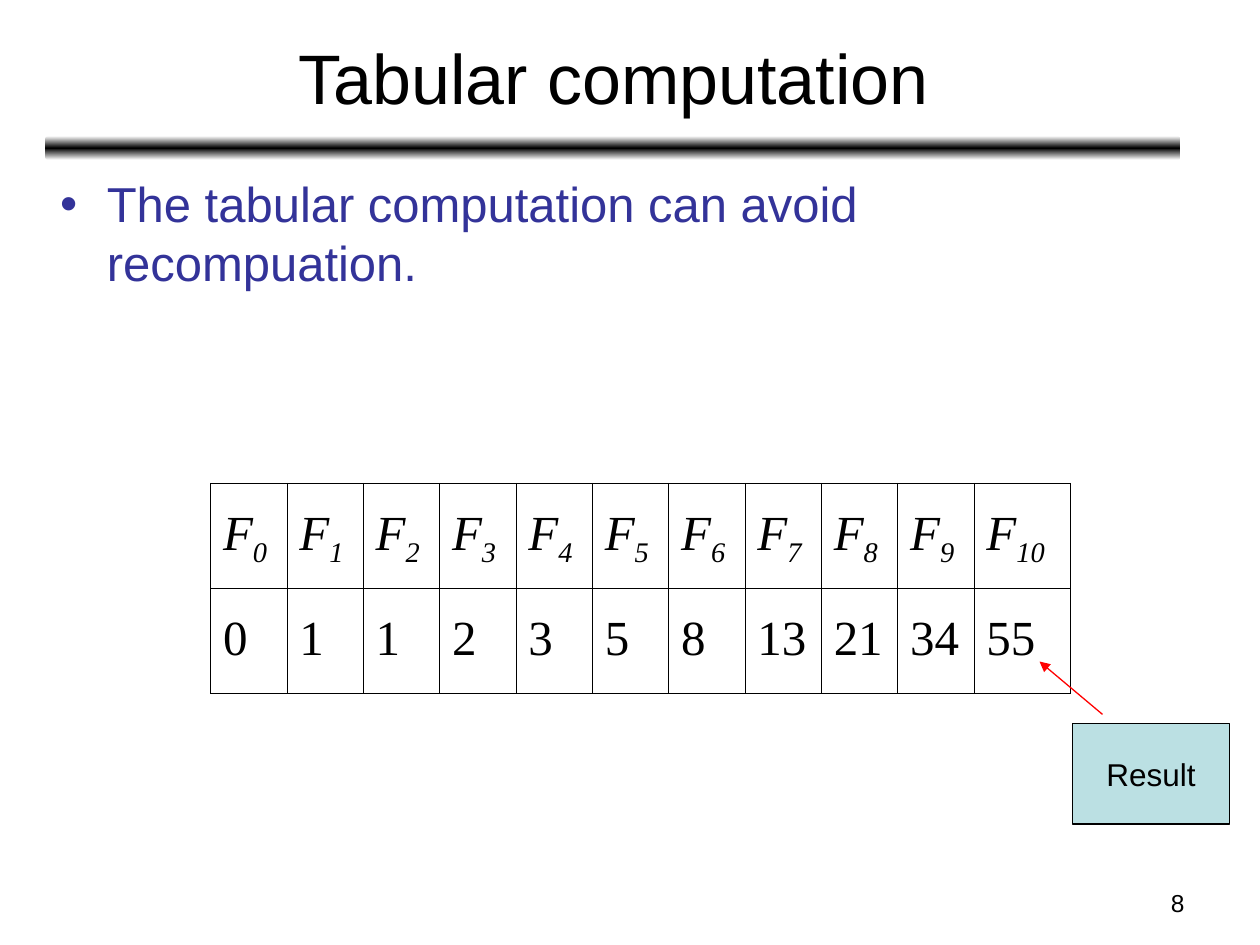
import pptx
import pptx.dml.color
import pptx.enum.dml
import pptx.enum.shapes
import pptx.enum.text
import pptx.oxml
import pptx.oxml.ns
import pptx.util

ALIGN = pptx.enum.text.PP_ALIGN
ANCHOR = pptx.enum.text.MSO_ANCHOR
SHAPE = pptx.enum.shapes.MSO_SHAPE
BLACK = "000000"


def color(value):
    return pptx.dml.color.RGBColor.from_string(value)


def add_xml(parent, tag, content="", **attributes):
    values = "".join(f' {name}="{value}"' for name, value in attributes.items())
    namespace = pptx.oxml.ns.nsdecls("a")
    element = pptx.oxml.parse_xml(f"<a:{tag} {namespace}{values}>{content}</a:{tag}>")
    parent.append(element)
    return element


def solid(value):
    return f'<a:solidFill><a:srgbClr val="{value}"/></a:solidFill>'


class SlideBuilder:
    columns, rows = 100, 75
    heading = {"name": "Arial", "size": pptx.util.Pt(40)}
    bullet_font = {"name": "Arial", "size": pptx.util.Pt(28)}
    label = {"name": "Arial", "size": pptx.util.Pt(18)}
    number = {"name": "Arial", "size": pptx.util.Pt(14)}
    value = {"name": "Times New Roman", "size": pptx.util.Pt(28), "italic": False}
    symbol = {**value, "italic": True}

    def __init__(self, deck):
        self.width = deck.slide_width
        self.height = deck.slide_height
        self.page = deck.slides.add_slide(deck.slide_layouts[6])

    def across(self, count):
        return round(self.width * count / self.columns)

    def down(self, count):
        return round(self.height * count / self.rows)

    def place(self, left, top, width, height):
        return self.across(left), self.down(top), self.across(width), self.down(height)

    def span(self, para, text, style, ink=BLACK, baseline=0):
        span = para.add_run()
        span.text = text
        for name, setting in style.items():
            setattr(span.font, name, setting)
        span.font.color.rgb = color(ink)
        if baseline:
            span.font._element.set("baseline", str(baseline))

    def text(self, area, text, style, align=ALIGN.LEFT, anchor=ANCHOR.TOP, ink=BLACK, bullet=None):
        box = self.page.shapes.add_textbox(*self.place(*area))
        box.text_frame.word_wrap = True
        box.text_frame.vertical_anchor = anchor
        para = box.text_frame.paragraphs[0]
        para.alignment = align
        if bullet:
            properties = para._p.get_or_add_pPr()
            indent = self.across(3.7)
            properties.set("marL", str(indent))
            properties.set("indent", str(-indent))
            add_xml(properties, "buFont", typeface=style["name"])
            add_xml(properties, "buChar", char=bullet)
        self.span(para, text, style, ink)

    def rule(self, area, inks):
        bar = self.page.shapes.add_shape(SHAPE.ROUNDED_RECTANGLE, *self.place(*area))
        bar.shadow.inherit = False
        bar.line.fill.background()
        bar.fill.gradient()
        bar.fill.gradient_angle = 90
        stops = bar._element.spPr.find(".//" + pptx.oxml.ns.qn("a:gsLst"))
        for stop in list(stops):
            stops.remove(stop)
        for index, ink in enumerate(inks):
            position = 100000 * index // (len(inks) - 1)
            add_xml(stops, "gs", f'<a:srgbClr val="{ink}"/>', pos=position)

    def label_box(self, area, text, fill):
        box = self.page.shapes.add_shape(SHAPE.RECTANGLE, *self.place(*area))
        box.shadow.inherit = False
        box.fill.solid()
        box.fill.fore_color.rgb = color(fill)
        box.line.color.rgb = color(BLACK)
        box.line.width = pptx.util.Pt(0.75)
        box.text_frame.word_wrap = False
        box.text_frame.vertical_anchor = ANCHOR.MIDDLE
        para = box.text_frame.paragraphs[0]
        para.alignment = ALIGN.CENTER
        self.span(para, text, self.label)

    def arrow(self, start, end, ink):
        points = [move(count) for point in (start, end)
                  for move, count in zip((self.across, self.down), point)]
        line = self.page.shapes.add_connector(pptx.enum.shapes.MSO_CONNECTOR.STRAIGHT, *points)
        line.line.color.rgb = color(ink)
        line.line.width = pptx.util.Pt(0.75)
        add_xml(line.line._get_or_add_ln(), "tailEnd", type="triangle")
        add_xml(line._element.spPr, "effectLst")

    def borders(self, cell, outer_edges):
        properties = cell._tc.get_or_add_tcPr()
        for tag, is_outer in zip(("lnL", "lnR", "lnT", "lnB"), outer_edges):
            width = pptx.util.Pt(0.5 if is_outer else 0.23)
            add_xml(properties, tag, solid(BLACK), w=int(width))

    def sequence_table(self, left, top, widths, row_height, values):
        area = self.place(left, top, sum(widths), 2 * row_height)
        table = self.page.shapes.add_table(2, len(values), *area).table
        table.first_row = table.horz_banding = False
        for column, width in zip(table.columns, widths):
            column.width = self.across(width)
        last = len(values) - 1
        for index, value in enumerate(values):
            for row in range(2):
                cell = table.cell(row, index)
                cell.vertical_anchor = ANCHOR.MIDDLE
                self.borders(cell, (index == 0, index == last, row == 0, row == 1))
                cell.fill.background()
                para = cell.text_frame.paragraphs[0]
                para.line_spacing = 0.93
                if row == 0:
                    self.span(para, "F", self.symbol)
                    self.span(para, str(index), self.symbol, baseline=-25000)
                else:
                    self.span(para, str(value), self.value)


def main():
    deck = pptx.Presentation()
    deck.slide_width = pptx.util.Inches(10)
    deck.slide_height = pptx.util.Inches(7.5)
    slide = SlideBuilder(deck)

    slide.rule((3.6, 10.8, 90.1, 1.9), ("FFFFFF", BLACK, "FFFFFF"))
    slide.text((71.7, 70, 23.3, 3.5), "8", slide.number, ALIGN.RIGHT)
    slide.text((3.7, 1.1, 90, 9.9), "Tabular computation", slide.heading,
               ALIGN.CENTER, ANCHOR.MIDDLE)
    slide.text((3.8, 13.3, 90, 55.5), "The tabular computation can avoid recompuation.",
               slide.bullet_font, ink="333399", bullet="•")

    fibonacci = [0, 1]
    while len(fibonacci) < 11:
        fibonacci.append(fibonacci[-2] + fibonacci[-1])
    slide.sequence_table(16.7, 38.35, [6.06] * 10 + [7.7], 8.33, fibonacci)

    slide.arrow((87.5, 56.7), (82.5, 52.5), "FF0000")
    slide.label_box((85.1, 57.4, 12.5, 8), "Result", "BBE0E3")
    deck.save("out.pptx")


if __name__ == "__main__":
    main()
